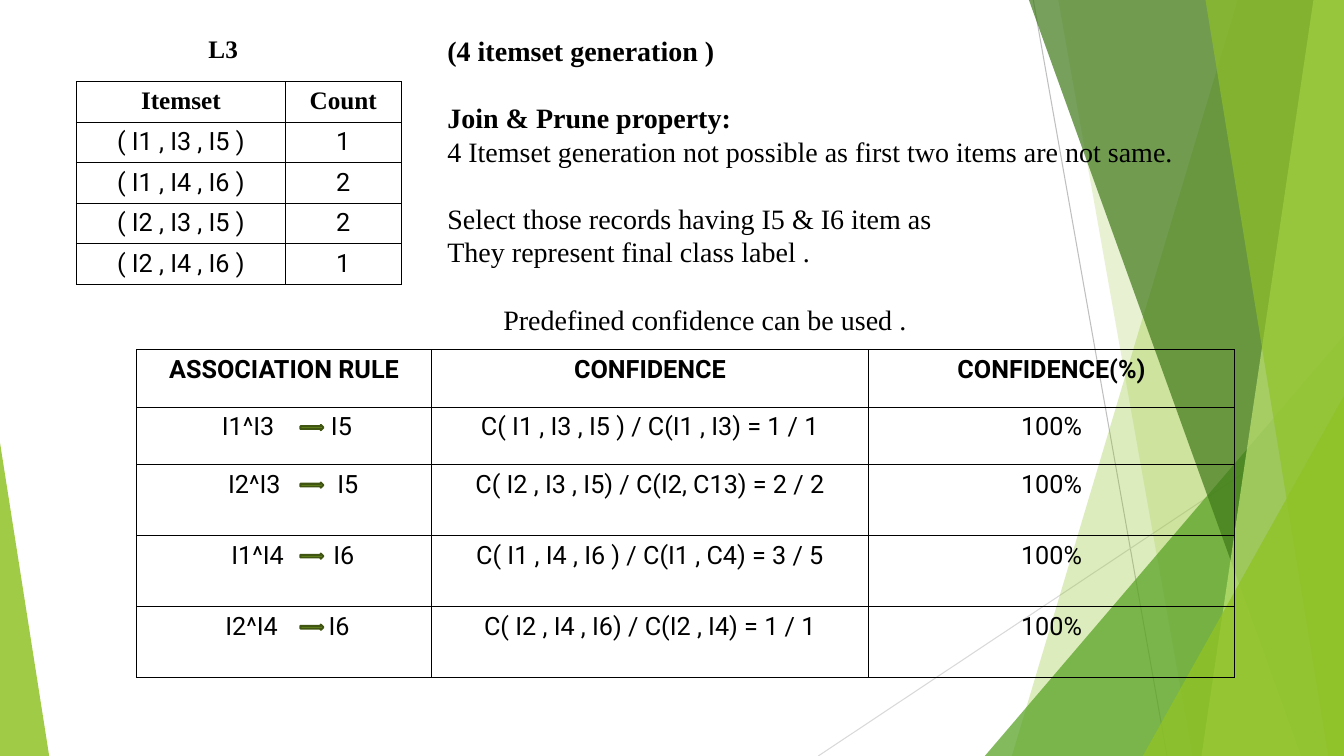
"""Build the slide on four-itemset generation and its association rules."""
from itertools import accumulate

from lxml.etree import SubElement
from pptx import Presentation
from pptx.dml.color import RGBColor
from pptx.enum.shapes import MSO_CONNECTOR, MSO_SHAPE
from pptx.enum.text import MSO_ANCHOR, MSO_AUTO_SIZE, PP_ALIGN
from pptx.oxml.ns import qn
from pptx.util import Cm, Pt

COLORS = {
    "black": "000000",
    "lime": "90C226",
    "green": "54A021",
    "forest": "3F7819",
    "pale": "C0E474",
    "olive": "3F5511",
    "gray": "BFBFBF",
    "light_gray": "D9D9D9",
}
SERIF, SANS = "Times New Roman", "Roboto"
WIDTH, HEIGHT = 33.87, 19.05

RAYS = [
    (26.04, 0, 29.41, HEIGHT, "gray"),
    (WIDTH, 10.24, 20.62, HEIGHT, "light_gray"),
]
BACK_BANDS = [(31.19, 25.5, "lime", 30), (26.67, 30.05, "lime", 20)]
FRONT_BANDS = [
    (25.93, 32.79, "forest", 70),
    (33.1, 30.28, "pale", 70),
    (30.38, 33.48, "lime", 65),
]
NOTES = [
    ("(4 itemset generation )", True, 0, 0),
    ("Join & Prune property:", True, 24, 0),
    ("4 Itemset generation not possible as first two items are not same.", False, 0, 0),
    ("Select those records having I5 & I6 item as", False, 24, 0),
    ("They represent final class label .", False, 0, 0),
    ("Predefined confidence can be used .", False, 24, 1.41),
]
ITEMSETS = [
    ("Itemset", "Count"),
    ("( I1 , I3 , I5 )", "1"),
    ("( I1 , I4 , I6 )", "2"),
    ("( I2 , I3 , I5 )", "2"),
    ("( I2 , I4 , I6 )", "1"),
]
RULES = [
    ("ASSOCIATION RULE", "CONFIDENCE", "CONFIDENCE(%)"),
    ("I1^I3\tI5", "C( I1 , I3 , I5 ) / C(I1 , I3) = 1 / 1", "100%"),
    ("I2^I3\tI5", "C( I2 , I3 , I5) / C(I2, C13) = 2 / 2", "100%"),
    ("I1^I4\tI6", "C( I1 , I4 , I6 ) / C(I1 , C4) = 3 / 5", "100%"),
    ("I2^I4\tI6", "C( I2 , I4 , I6) / C(I2 , I4) = 1 / 1", "100%"),
]
RULE_INSETS = [(2.14, 2.75), (2.3, 2.75), (2.38, 2.57), (2.23, 2.6)]
RULE_ROWS = [1.45, 1.45, 1.79, 1.79, 1.79]
RULE_TOP = 8.81


def rgb(name):
    return RGBColor.from_string(COLORS[name])


def style_runs(para, font, size, bold):
    for span in para.runs:
        span.font.name = font
        span.font.size = Pt(size)
        span.font.bold = bold
        span.font.color.rgb = rgb("black")


def fill_shape(shape, color, opacity=100):
    shape.shadow.inherit = False
    shape.fill.solid()
    shape.fill.fore_color.rgb = rgb(color)
    shape.line.fill.background()
    if opacity < 100:
        tone = shape.fill._xPr.find(qn("a:solidFill"))[0]
        SubElement(tone, qn("a:alpha"), val=str(opacity * 1000))


def add_ray(page, x1, y1, x2, y2, color):
    ray = page.shapes.add_connector(
        MSO_CONNECTOR.STRAIGHT, Cm(x1), Cm(y1), Cm(x2), Cm(y2))
    ray.line.color.rgb = rgb(color)
    ray.line.width = Pt(0.75)
    SubElement(ray.element.spPr, qn("a:effectLst"))


def add_band(page, top_x, bottom_x, color, opacity):
    outline = page.shapes.build_freeform(Cm(top_x), 0)
    corners = [(WIDTH, 0), (WIDTH, HEIGHT), (bottom_x, HEIGHT)]
    outline.add_line_segments([(Cm(x), Cm(y)) for x, y in corners], close=True)
    fill_shape(outline.convert_to_shape(), color, opacity)


def add_corner(page, left, top, width, apex, color, opacity):
    corner = page.shapes.add_shape(
        MSO_SHAPE.ISOSCELES_TRIANGLE, Cm(left), Cm(top), Cm(width), Cm(HEIGHT - top))
    corner.adjustments[0] = apex
    fill_shape(corner, color, opacity)


def add_backdrop(page):
    for ray in RAYS:
        add_ray(page, *ray)
    for band in BACK_BANDS:
        add_band(page, *band)
    add_corner(page, 24.82, 8.46, 9.05, 1, "green", 72)
    for band in FRONT_BANDS:
        add_band(page, *band)
    add_corner(page, 28.8, 9.98, 5.07, 1, "lime", 80)
    add_corner(page, 0, 11.15, 1.24, 0, "lime", 85)


def place_text(holder, left, top, width, height):
    """Move a placeholder to the front and set its frame."""
    holder.element.getparent().append(holder.element)
    holder.left, holder.top = Cm(left), Cm(top)
    holder.width, holder.height = Cm(width), Cm(height)
    frame = holder.text_frame
    frame.word_wrap = True
    frame.auto_size = MSO_AUTO_SIZE.NONE
    frame.vertical_anchor = MSO_ANCHOR.TOP
    return frame


def add_notes(frame):
    for index, (text, bold, gap, indent) in enumerate(NOTES):
        para = frame.add_paragraph() if index else frame.paragraphs[0]
        para.text = text
        props = para._p.get_or_add_pPr()
        props.set("marL", str(Cm(indent)))
        props.set("indent", "0")
        SubElement(props, qn("a:buNone"))
        para.alignment = PP_ALIGN.LEFT
        para.line_spacing = Pt(24)
        para.space_before = Pt(gap)
        style_runs(para, SERIF, 20, bold)


def format_cell(cell, text, font, bold):
    cell.text = text
    para = cell.text_frame.paragraphs[0]
    para.alignment = PP_ALIGN.CENTER
    style_runs(para, font, 18, bold)
    props = cell._tc.get_or_add_tcPr()
    for side in ("lnL", "lnR", "lnT", "lnB"):
        border = SubElement(props, qn(f"a:{side}"), w=str(Pt(1)))
        fill = SubElement(border, qn("a:solidFill"))
        SubElement(fill, qn("a:srgbClr"), val=COLORS["black"])
    cell.fill.background()


def add_grid(page, left, top, columns, heights, rows, header_font):
    frame = page.shapes.add_table(
        len(rows), len(columns), Cm(left), Cm(top), Cm(sum(columns)), Cm(sum(heights)))
    grid = frame.table
    grid.first_row = grid.horz_banding = False
    for column, width in zip(grid.columns, columns):
        column.width = Cm(width)
    for index, (row, height, texts) in enumerate(zip(grid.rows, heights, rows)):
        row.height = Cm(height)
        for cell, text in zip(row.cells, texts):
            format_cell(cell, text, SANS if index else header_font, index == 0)
    return grid


def align_rule(cell, inset, gap):
    cell.margin_left = Cm(inset)
    para = cell.text_frame.paragraphs[0]
    para.alignment = PP_ALIGN.LEFT
    tabs = SubElement(para._p.get_or_add_pPr(), qn("a:tabLst"))
    SubElement(tabs, qn("a:tab"), pos=str(Cm(gap)), algn="l")


def add_arrow(page, top):
    arrow = page.shapes.add_shape(
        MSO_SHAPE.RIGHT_ARROW, Cm(7.57), Cm(top), Cm(0.58), Cm(0.13))
    fill_shape(arrow, "lime")
    arrow.line.color.rgb = rgb("olive")
    arrow.line.width = Pt(1.5)


def main():
    deck = Presentation()
    deck.slide_width, deck.slide_height = Cm(WIDTH), Cm(HEIGHT)
    page = deck.slides.add_slide(deck.slide_layouts[1])
    add_backdrop(page)
    add_notes(place_text(page.placeholders[1], 11.02, 0.71, 20.93, 8.81))

    grid = add_grid(page, 3.45, RULE_TOP, [7.42, 11.02, 9.22], RULE_ROWS, RULES, SANS)
    row_tops = accumulate(RULE_ROWS[:-1], initial=RULE_TOP)
    next(row_tops)
    for index, (top, inset) in enumerate(zip(row_tops, RULE_INSETS), 1):
        align_rule(grid.cell(index, 0), *inset)
        add_arrow(page, top + 0.45)

    title = place_text(page.shapes.title, 5, 0.71, 1.57, 1.02)
    title.text = "L3"
    title.paragraphs[0].alignment = PP_ALIGN.LEFT
    style_runs(title.paragraphs[0], SERIF, 18, True)
    add_grid(page, 1.93, 2.06, [5.26, 2.92], [1.02] * 5, ITEMSETS, SERIF)
    deck.save("out.pptx")


if __name__ == "__main__":
    main()
